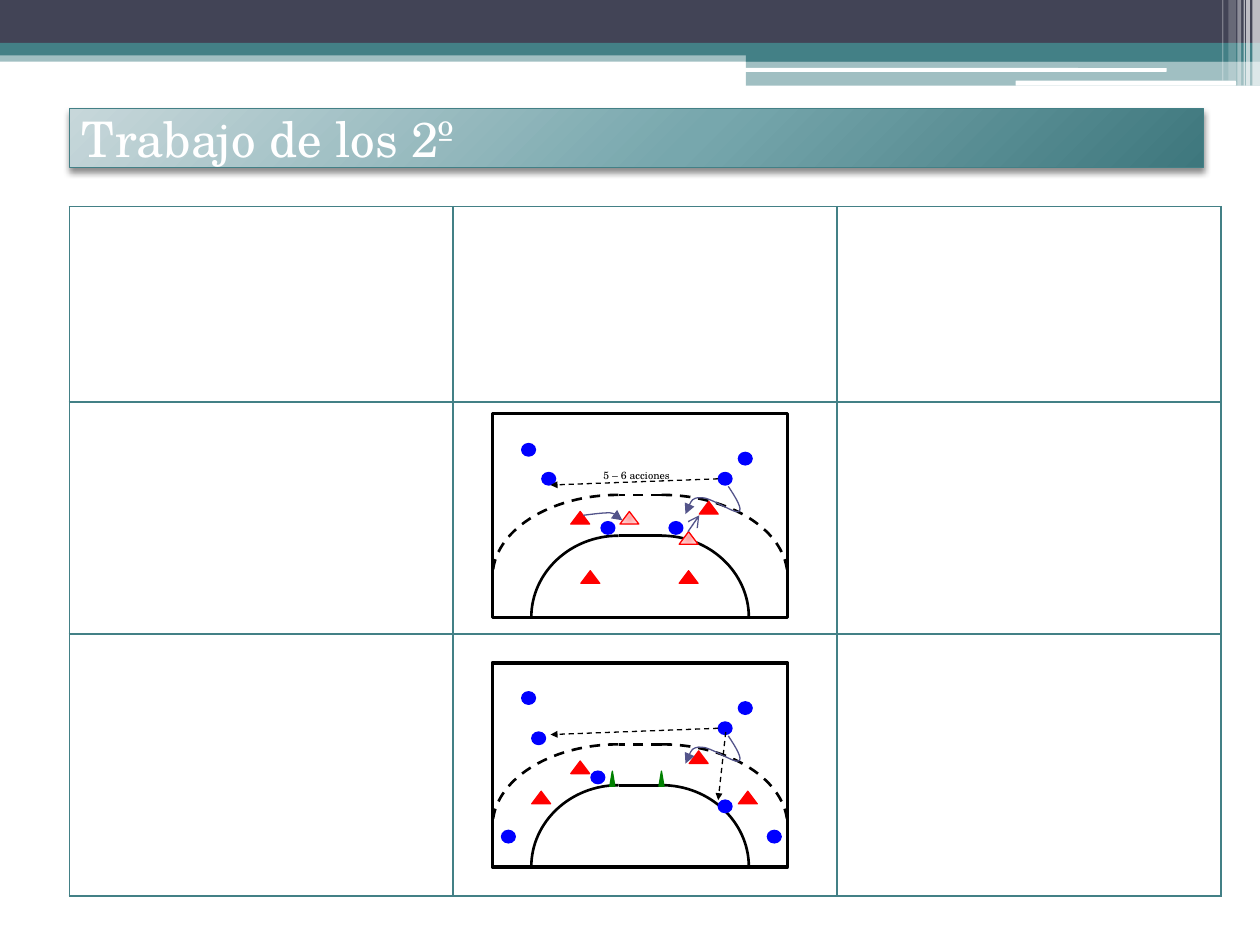
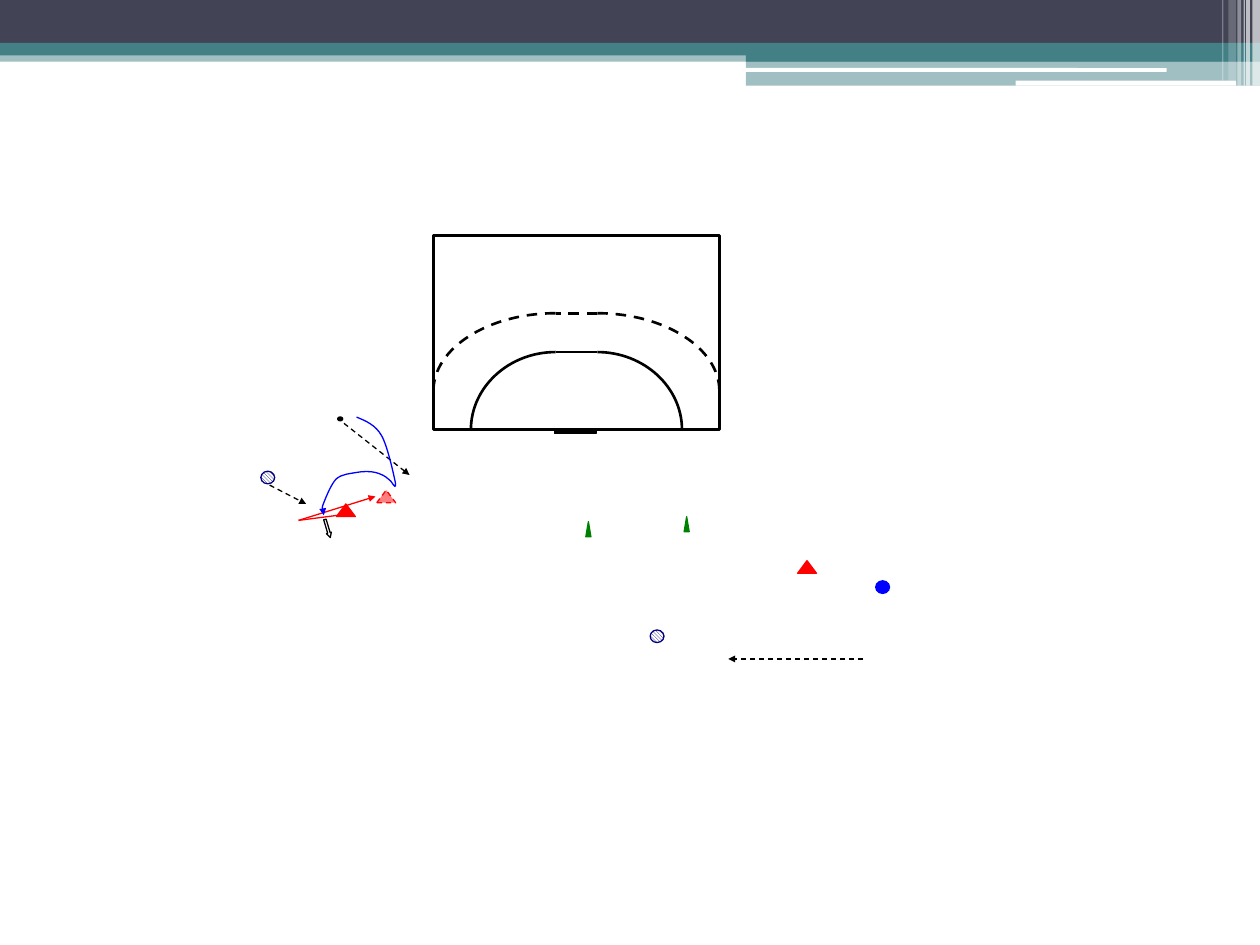
from pptx import Presentation
from pptx.dml.color import RGBColor
from pptx.enum.dml import MSO_LINE as Dash, MSO_PATTERN as Pat
from pptx.enum.shapes import MSO_CONNECTOR as Conn, MSO_SHAPE as Kind
from pptx.enum.text import MSO_ANCHOR as Anchor, MSO_AUTO_SIZE as Auto, PP_ALIGN as Align
from pptx.oxml import parse_xml
from pptx.oxml.ns import nsdecls, qn
from pptx.util import Inches, Pt
from lxml.etree import SubElement

FONT = "TeX Gyre Schola"
TEAL, SLATE, WHITE, BLACK = "438086", "424456", "FFFFFF", "000000"
BLUE, RED, GREEN, NAVY, INDIGO = "0000FF", "FF0000", "008000", "000080", "53548A"
PALE = [(0, "FFA0A0"), (50, "FFC5C5"), (100, "FFE3E3")]
TITLE = [(0, "C7D7DA"), (55, "77A7AD"), (100, "3E777D")]
BALL, MAN, CONE = (0.11, 0.1), (0.15, 0.1), (0.04, 0.12)


def rgb(code):
    """Turn a hex string into a colour."""
    return RGBColor.from_string(code)


def stroke(line, color, width, dash=False):
    """Set the colour, width and dash of a line."""
    line.color.rgb = rgb(color)
    line.width = Pt(width)
    if dash:
        line.dash_style = Dash.DASH


def tip(item, head, size="sm"):
    """Put an arrowhead at the end of a line."""
    if head:
        SubElement(item.element.spPr.find(qn("a:ln")), qn("a:tailEnd"),
                   type=head, w=size, len=size)


def shape(group, kind, box, fill, line=None, width=0.75, dash=False, alpha=100):
    """Add a preset shape with a plain fill and an optional outline."""
    item = group.add_shape(kind, *map(Inches, box))
    item.shadow.inherit = False
    item.fill.solid()
    item.fill.fore_color.rgb = rgb(fill)
    if alpha < 100:
        tint = item.element.spPr.find(qn("a:solidFill"))[0]
        SubElement(tint, qn("a:alpha"), val=str(alpha * 1000))
    if line:
        stroke(item.line, line, width, dash)
    else:
        item.line.fill.background()
    return item


def blend(item, stops, focus):
    """Give a shape a circular gradient around a focus rectangle."""
    marks = "".join(
        f'<a:gs pos="{at * 1000}"><a:srgbClr val="{code}"/></a:gs>' for at, code in stops)
    sides = " ".join(f'{side}="{part * 1000}"' for side, part in zip("ltrb", focus))
    props = item.element.spPr
    props.replace(props.find(qn("a:solidFill")), parse_xml(
        f'<a:gradFill {nsdecls("a")} rotWithShape="1"><a:gsLst>{marks}</a:gsLst>'
        f'<a:path path="circle"><a:fillToRect {sides}/></a:path></a:gradFill>'))


def link(group, start, end, color=BLACK, width=0.75, dash=False, head=None, size="sm"):
    """Draw a straight line or arrow."""
    item = group.add_connector(Conn.STRAIGHT, *map(Inches, (*start, *end)))
    stroke(item.line, color, width, dash)
    SubElement(item.element.spPr, qn("a:effectLst"))
    tip(item, head, size)


def curve(group, start, bends, color=BLACK, width=0.75, dash=False, head=None, size="sm"):
    """Draw an open outline of cubic bends."""
    outline = group.build_freeform(*map(Inches, start), scale=1.0)
    outline.add_line_segments([tuple(map(Inches, bend[4:])) for bend in bends], close=False)
    item = outline.convert_to_shape()
    for part, bend in zip(list(item.element.iter(qn("a:lnTo"))), bends):
        part.tag = qn("a:cubicBezTo")
        part.remove(part[0])
        for x, y in zip(bend[::2], bend[1::2]):
            SubElement(part, qn("a:pt"),
                       x=str(Inches(x) - item.left), y=str(Inches(y) - item.top))
    item.shadow.inherit = False
    item.fill.background()
    stroke(item.line, color, width, dash)
    tip(item, head, size)


def write(frame, text, size, color):
    """Write one left-aligned run."""
    para = frame.paragraphs[0]
    para.alignment = Align.LEFT
    run = para.add_run()
    run.text = text
    run.font.name, run.font.size = FONT, Pt(size)
    run.font.color.rgb = rgb(color)


def bands(group):
    """Draw the bands at the top of each slide."""
    for box, color, alpha in (
            ((0, 0.4, 10, 0.09), TEAL, 50), ((0, 0, 10, 0.34), SLATE, 100),
            ((0, 0.34, 10, 0.1), TEAL, 100), ((5.92, 0.39, 4.08, 0.1), TEAL, 100),
            ((5.92, 0.48, 4.08, 0.2), TEAL, 50)):
        shape(group, Kind.RECTANGLE, box, color, alpha=alpha)
    for box in ((5.91, 0.54, 3.35, 0.03), (8.06, 0.64, 1.75, 0.04)):
        shape(group, Kind.ROUNDED_RECTANGLE, box, WHITE)
    for left, wide, high, alpha in (
            (9.94, 0.06, 0.68, 65), (9.89, 0.03, 0.68, 65), (9.87, 0.01, 0.68, 60),
            (9.82, 0.03, 0.68, 40), (9.75, 0.06, 0.64, 20), (9.7, 0.01, 0.64, 30)):
        shape(group, Kind.RECTANGLE, (left, 0, wide, high), WHITE, alpha=alpha)


def title(group, box, text):
    """Draw the title bar with its gradient and shadow."""
    bar = shape(group, Kind.RECTANGLE, box, TEAL, TEAL)
    blend(bar, TITLE, (-40, -90, 140, 190))
    glow = SubElement(bar.element.spPr.find(qn("a:effectLst")), qn("a:outerShdw"),
                      blurRad=str(Pt(4)), dist=str(Pt(2)), dir="5400000", rotWithShape="0")
    tint = SubElement(glow, qn("a:srgbClr"), val=BLACK)
    SubElement(tint, qn("a:alpha"), val="45000")
    bar.text_frame.vertical_anchor = Anchor.MIDDLE
    bar.text_frame.word_wrap = True
    write(bar.text_frame, text, 28, WHITE)


def grid(group, box, rows, count):
    """Add an empty table with thin borders."""
    frame = group.add_table(len(rows), count, *map(Inches, box))
    table = frame.table
    table.first_row = table.horz_banding = False
    for col in table.columns:
        col.width = Inches(box[2] / count)
    for row, high in zip(table.rows, rows):
        row.height = Inches(high)
    for cell in table.iter_cells():
        cell.fill.background()
    for props in frame.element.iter(qn("a:tcPr")):
        for spot, side in enumerate(("lnL", "lnR", "lnT", "lnB")):
            props.insert(spot, parse_xml(
                f'<a:{side} {nsdecls("a")} w="{Pt(1)}"><a:solidFill>'
                f'<a:srgbClr val="{TEAL}"/></a:solidFill></a:{side}>'))


def court(group, box):
    """Draw a half court with its goal area and dashed line."""
    left, top, wide, high = box
    shape(group, Kind.RECTANGLE, box, WHITE, BLACK, 2)
    near, far = left + 0.427 * wide, left + 0.573 * wide
    for reach, rise, dash in ((0.296, 0.6, False), (0.427, 0.4, True)):
        peak, base = top + rise * high, top + (rise + 0.4) * high
        mid = peak + 0.45 * (base - peak)
        for edge, sign in ((near, -1), (far, 1)):
            end = edge + sign * reach * wide
            pull = edge + sign * 0.55 * reach * wide
            curve(group, (edge, peak), [(pull, peak, end, mid, end, base)],
                  width=1.5, dash=dash)
        link(group, (far, peak), (near, peak), width=1.5, dash=dash)


def marks(group, kind, size, color, spots, left=0, top=0):
    """Place equal markers at spots relative to a corner."""
    return [shape(group, kind, (left + x, top + y, *size), color, color) for x, y in spots]


def drill(group, box, balls, men):
    """Draw a court with players, the shared pass and the shared run."""
    left, top = box[:2]

    def at(*nums):
        """Shift relative points to the court."""
        return tuple(n + (top if i % 2 else left) for i, n in enumerate(nums))

    court(group, box)
    marks(group, Kind.OVAL, BALL, BLUE, balls, left, top)
    marks(group, Kind.ISOSCELES_TRIANGLE, MAN, RED, men, left, top)
    curve(group, at(1.87, 0.58), [
        at(1.93, 0.67, 1.99, 0.77, 1.95, 0.78), at(1.92, 0.8, 1.72, 0.66, 1.65, 0.67),
        at(1.58, 0.67, 1.55, 0.74, 1.53, 0.8)], INDIGO, head="triangle", size="med")
    link(group, at(1.79, 0.52), at(0.46, 0.57), dash=True, head="triangle")
    return at


def swap(group, box):
    """Draw the drill in which the defenders shift."""
    at = drill(group, box,
               ((0.23, 0.24), (0.39, 0.47), (1.79, 0.47), (1.95, 0.31), (0.86, 0.86),
                (1.4, 0.86)),
               ((0.62, 0.78), (0.7, 1.25), (1.64, 0.7), (1.48, 1.25)))
    for man in marks(group, Kind.ISOSCELES_TRIANGLE, MAN, RED,
                     ((1.48, 0.94), (1.01, 0.78)), *box[:2]):
        blend(man, PALE, (50, 50, 50, 50))
    link(group, at(1.55, 0.94), at(1.64, 0.81), INDIGO, head="arrow", size="med")
    curve(group, at(0.72, 0.81), [
        at(0.8, 0.8, 0.87, 0.79, 0.93, 0.79), at(0.98, 0.8, 1, 0.83, 1.03, 0.85)],
        INDIGO, head="triangle", size="med")
    note = group.add_textbox(*map(Inches, (*at(0.78, 0.39), 0.73, 0.2))).text_frame
    note.word_wrap, note.auto_size = False, Auto.SHAPE_TO_FIT_TEXT
    write(note, "5 – 6 acciones", 6, BLACK)


def gate(group, box):
    """Draw the drill with two cones on the goal area."""
    at = drill(group, box,
               ((0.23, 0.23), (0.31, 0.55), (1.79, 0.47), (1.95, 0.31), (0.78, 0.86),
                (1.79, 1.09), (2.18, 1.33), (0.07, 1.33)),
               ((0.62, 0.78), (0.31, 1.02), (1.56, 0.7), (1.95, 1.02)))
    marks(group, Kind.ISOSCELES_TRIANGLE, CONE, GREEN, ((1.32, 0.86), (0.93, 0.86)), *box[:2])
    link(group, at(1.85, 0.55), at(1.79, 1.09), dash=True, head="triangle")


def pieces(group):
    """Lay out the loose markers and arrows around the court."""
    marks(group, Kind.OVAL, BALL, BLUE, [(6.95, 4.61)])
    marks(group, Kind.OVAL, (0.04, 0.03), BLACK, [(2.68, 3.31)])
    marks(group, Kind.ISOSCELES_TRIANGLE, MAN, RED, ((6.33, 4.45), (2.67, 4)))
    marks(group, Kind.ISOSCELES_TRIANGLE, CONE, GREEN, ((5.43, 4.1), (4.65, 4.14)))
    for ball in marks(group, Kind.OVAL, BALL, NAVY, ((5.16, 5), (2.07, 3.74))):
        ball.fill.patterned()
        ball.fill.pattern = Pat.DARK_DOWNWARD_DIAGONAL
        ball.fill.fore_color.rgb, ball.fill.back_color.rgb = rgb(NAVY), rgb(WHITE)
    shape(group, Kind.ISOSCELES_TRIANGLE, (2.99, 3.89, *MAN), RED, RED, dash=True, alpha=50)
    for start, end in (((2.73, 3.36), (3.25, 3.77)), ((6.85, 5.23), (5.78, 5.23)),
                       ((2.14, 3.85), (2.43, 4))):
        link(group, start, end, dash=True, head="triangle")
    arrow = shape(group, Kind.UP_ARROW, (2.58, 4.12, 0.04, 0.15), WHITE, BLACK)
    arrow.adjustments[0], arrow.adjustments[1] = 0.5, 0.966
    arrow.rotation = 163.4
    link(group, (2.68, 4.09), (2.37, 4.13), RED)
    link(group, (2.37, 4.13), (2.98, 3.94), RED, head="triangle")
    curve(group, (2.83, 3.31), [
        (2.9, 3.34, 2.98, 3.37, 3.03, 3.46), (3.08, 3.55, 3.13, 3.79, 3.14, 3.84),
        (3.14, 3.9, 3.11, 3.81, 3.08, 3.8), (3.06, 3.78, 3.02, 3.76, 2.98, 3.75),
        (2.94, 3.74, 2.88, 3.74, 2.83, 3.75), (2.78, 3.76, 2.72, 3.76, 2.67, 3.8),
        (2.63, 3.84, 2.59, 3.94, 2.57, 3.99), (2.55, 4.04, 2.57, 4.07, 2.57, 4.09)],
        BLUE, head="triangle")


def page(deck):
    """Add a blank slide with the shared bands and return its shapes."""
    group = deck.slides.add_slide(deck.slide_layouts[6]).shapes
    bands(group)
    return group


def main():
    """Build and save both slides."""
    deck = Presentation()
    deck.slide_width, deck.slide_height = Inches(10), Inches(7.5)
    first = page(deck)
    title(first, (0.55, 0.86, 9, 0.47), "Trabajo de los 2º")
    grid(first, (0.55, 1.64, 9.14, 5.47), (1.55, 1.84, 2.08), 3)
    for draw, top in ((swap, 3.28), (gate, 5.26)):
        draw(first.add_group_shape().shapes, (3.91, top, 2.34, 1.62))
    second = page(deck)
    field = second.add_group_shape().shapes
    court(field, (3.44, 1.87, 2.27, 1.54))
    shape(field, Kind.RECTANGLE, (4.4, 3.4, 0.33, 0.04), BLACK, BLACK)
    pieces(second)
    deck.save("out.pptx")


main()
